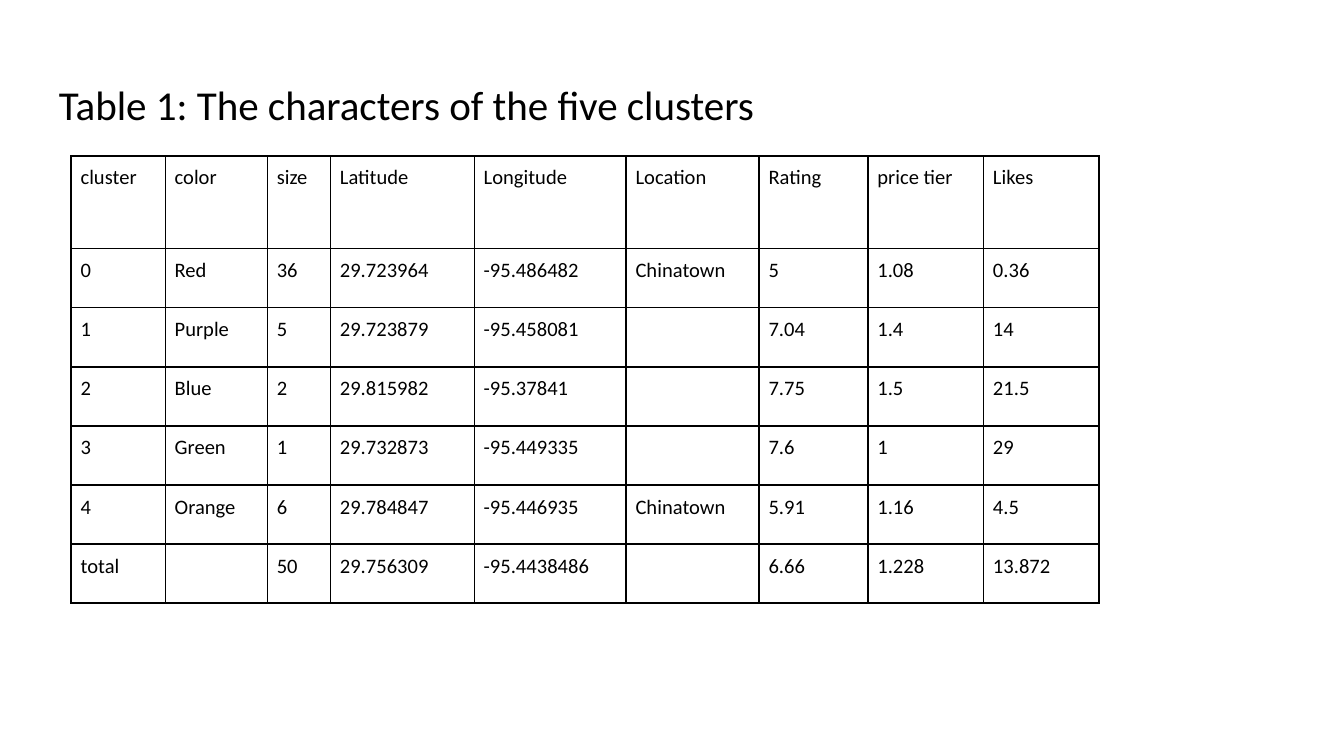
"""Build a slide with a table describing five clusters."""
from lxml.etree import SubElement
from pptx import Presentation
from pptx.dml.color import RGBColor
from pptx.enum.text import MSO_ANCHOR
from pptx.oxml.ns import qn
from pptx.util import Inches, Pt

BLACK = RGBColor(0, 0, 0)
TITLE = "Table 1: The characters of the five clusters"
ROWS = [
    ("cluster", "color", "size", "Latitude", "Longitude", "Location", "Rating", "price tier", "Likes"),
    ("0", "Red", "36", "29.723964", "-95.486482", "Chinatown", "5", "1.08", "0.36"),
    ("1", "Purple", "5", "29.723879", "-95.458081", "", "7.04", "1.4", "14"),
    ("2", "Blue", "2", "29.815982", "-95.37841", "", "7.75", "1.5", "21.5"),
    ("3", "Green", "1", "29.732873", "-95.449335", "", "7.6", "1", "29"),
    ("4", "Orange", "6", "29.784847", "-95.446935", "Chinatown", "5.91", "1.16", "4.5"),
    ("total", "", "50", "29.756309", "-95.4438486", "", "6.66", "1.228", "13.872"),
]
WIDTHS = [0.7, 0.76, 0.47, 1.07, 1.13, 0.99, 0.81, 0.86, 0.86]
HEIGHTS = [0.69] + [0.44] * (len(ROWS) - 1)
SIDES = ("left", "top", "right", "bottom")


def set_margins(target, inches):
    for side in SIDES:
        setattr(target, f"margin_{side}", Inches(inches))


def write(frame, text, size):
    span = frame.paragraphs[0].add_run()
    span.text = text
    for name, value in {"name": "Calibri", "size": Pt(size)}.items():
        setattr(span.font, name, value)
    span.font.color.rgb = BLACK


def add_borders(cell):
    properties = cell._tc.get_or_add_tcPr()
    for tag in ("a:lnL", "a:lnR", "a:lnT", "a:lnB"):
        line = SubElement(properties, qn(tag), w=str(Pt(1)))
        fill = SubElement(line, qn("a:solidFill"))
        SubElement(fill, qn("a:srgbClr"), val=str(BLACK))


deck = Presentation()
deck.slide_width = Inches(10)
deck.slide_height = deck.slide_width * 9 // 16
page = deck.slides.add_slide(deck.slide_layouts[6])

title_box = page.shapes.add_textbox(Inches(0.34), Inches(0.49), Inches(9.32), Inches(0.63))
frame = title_box.text_frame
frame.word_wrap = True
frame.vertical_anchor = MSO_ANCHOR.TOP
set_margins(frame, 0.1)
write(frame, TITLE, 22)

table = page.shapes.add_table(
    len(ROWS), len(WIDTHS), Inches(0.53), Inches(1.16),
    Inches(sum(WIDTHS)), Inches(sum(HEIGHTS))).table
table.first_row = table.horz_banding = False
for column, width in zip(table.columns, WIDTHS):
    column.width = Inches(width)
for row, height, values in zip(table.rows, HEIGHTS, ROWS):
    row.height = Inches(height)
    for cell, value in zip(row.cells, values):
        add_borders(cell)
        cell.fill.background()
        if value:
            set_margins(cell, 0.07)
            write(cell.text_frame, value, 11)

deck.save("out.pptx")
